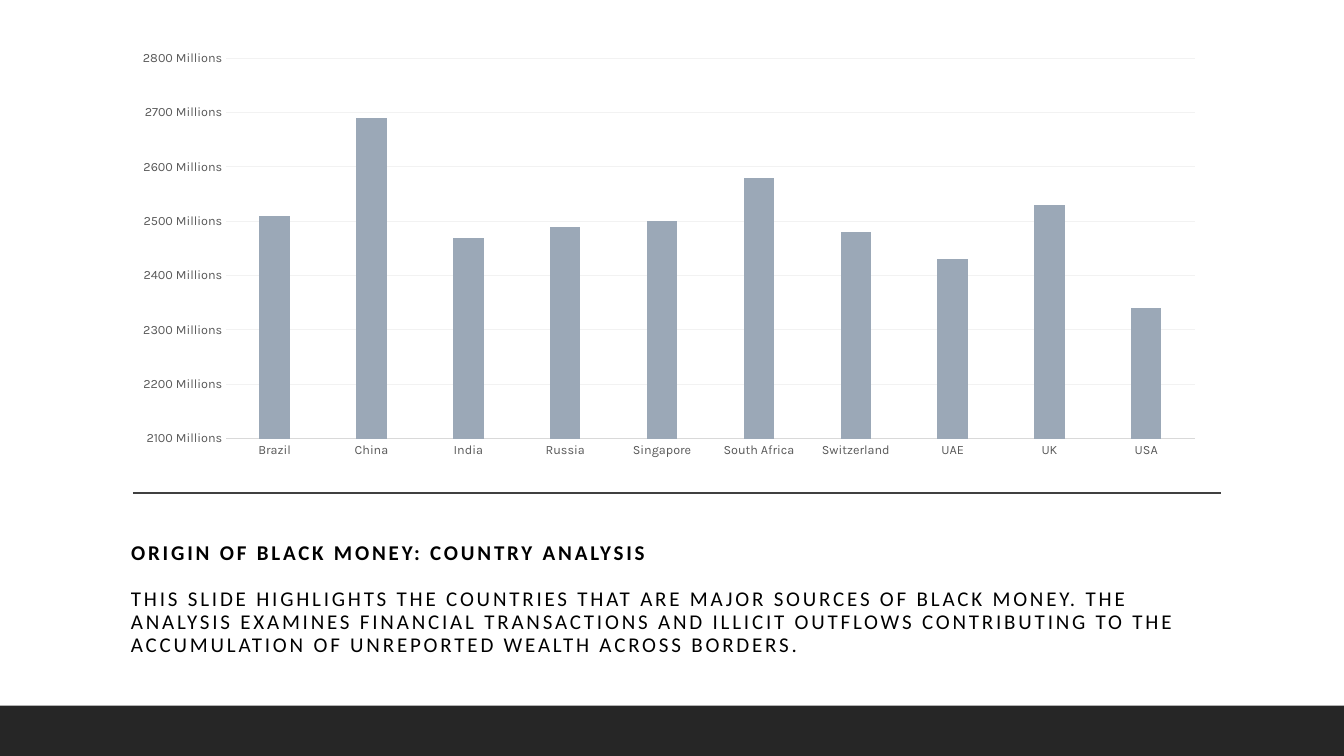
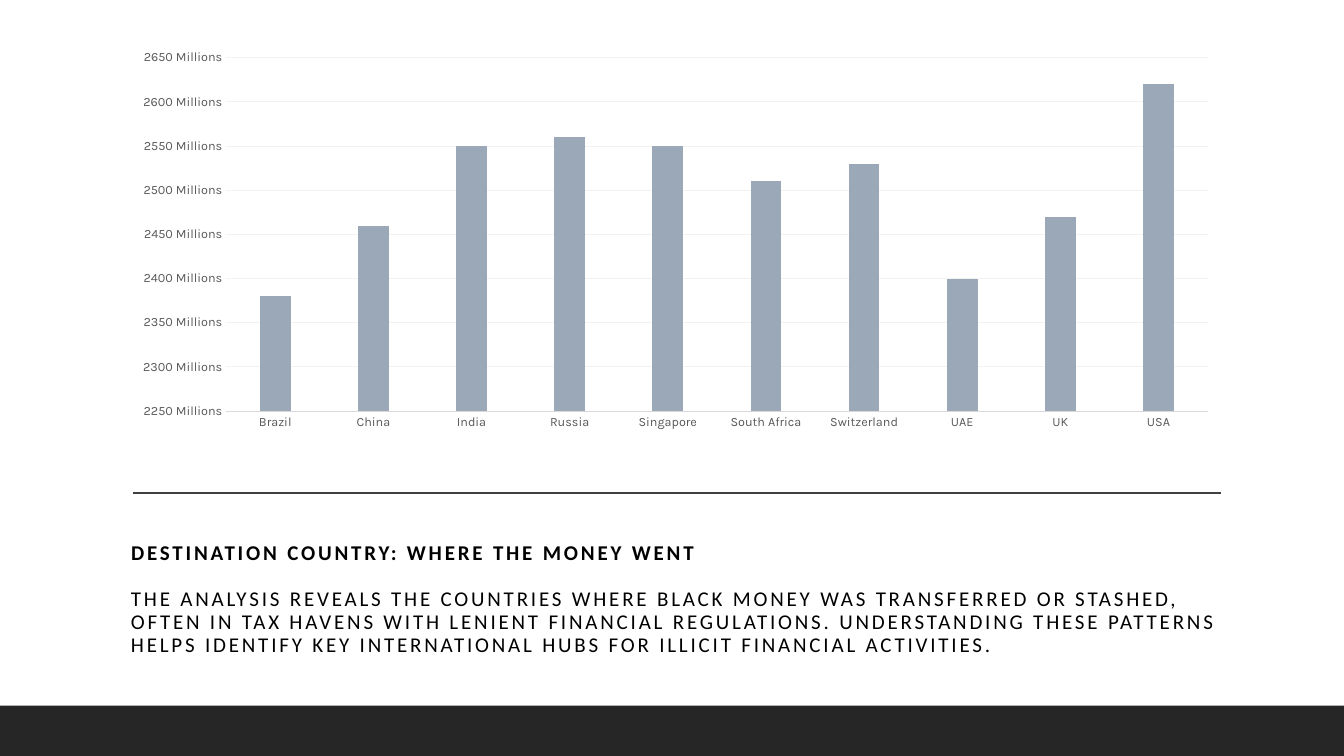
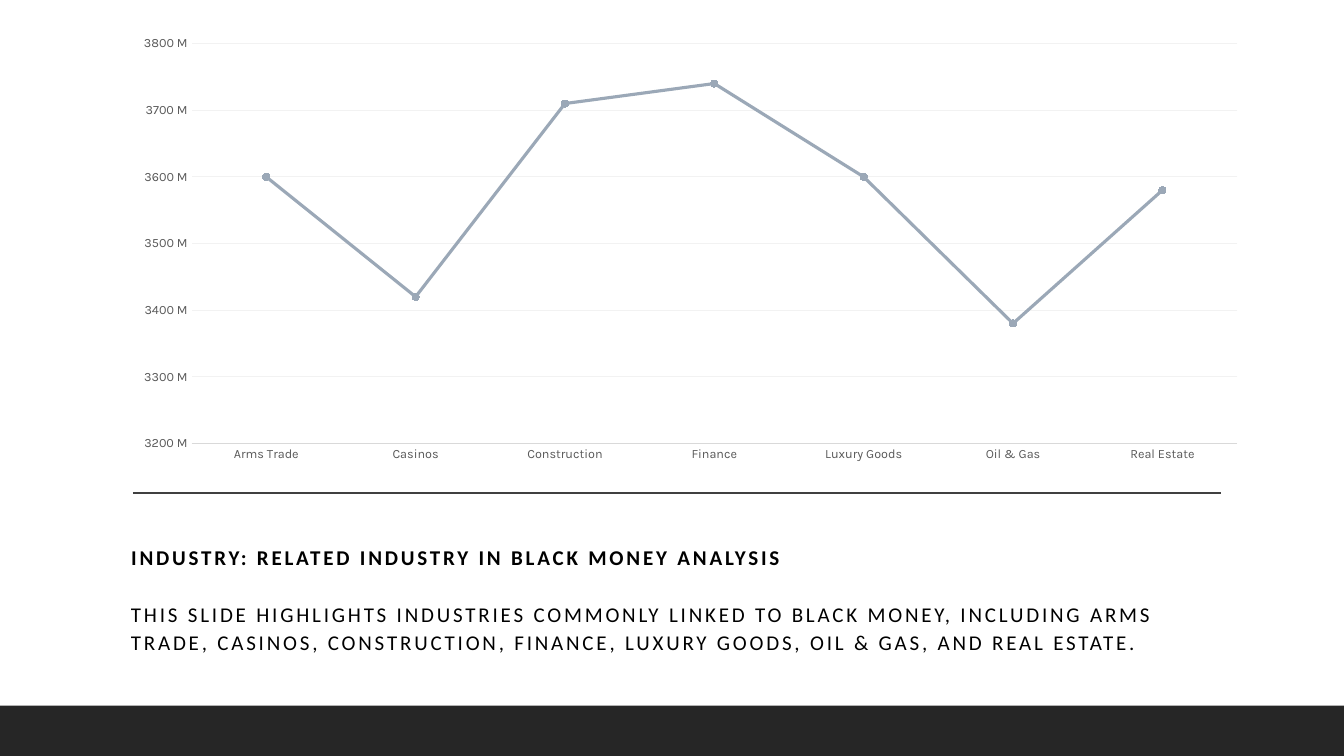
"""Three slides on black money: a chart above a rule, a heading and a short text."""
from lxml import etree
from pptx import Presentation
from pptx import util as u
from pptx.chart.data import CategoryChartData
from pptx.dml.color import RGBColor
from pptx.enum import chart as ch, shapes, text
from pptx.oxml.ns import qn

WIDTH, HEIGHT = 33.87, 19.05
LEFT, TEXT_TOP, TEXT_WIDTH = 3.05, 13.54, 27.94
BAND_TOP, RULE_Y, RULE_ENDS = 17.78, 12.42, (3.35, 30.78)
LINE_HEIGHT = 0.65
TEXT_FONT, CHART_FONT = "Calibri", "Karla"
BAND, RULE, INK, LABEL = "262626", "404040", "000000", "595959"
AXIS, GRID, SERIES = "D9D9D9", "F2F2F2", "9BA8B7"
COLUMN, LINE = ch.XL_CHART_TYPE.COLUMN_CLUSTERED, ch.XL_CHART_TYPE.LINE_MARKERS
MILLION = 1_000_000

COUNTRIES = ["Brazil", "China", "India", "Russia", "Singapore", "South Africa",
             "Switzerland", "UAE", "UK", "USA"]
INDUSTRIES = ["Arms Trade", "Casinos", "Construction", "Finance", "Luxury Goods",
              "Oil & Gas", "Real Estate"]

SLIDES = [
    dict(heading="ORIGIN OF BLACK MONEY: COUNTRY ANALYSIS",
         body="THIS SLIDE HIGHLIGHTS THE COUNTRIES THAT ARE MAJOR SOURCES OF BLACK MONEY. "
              "THE ANALYSIS EXAMINES FINANCIAL TRANSACTIONS AND ILLICIT OUTFLOWS CONTRIBUTING "
              "TO THE ACCUMULATION OF UNREPORTED WEALTH ACROSS BORDERS.",
         spacing=0.9, kind=COLUMN, box=(LEFT, 1.07, 27.61, 10.67),
         unit="Millions", scale=(2100, 2800, 100), cats=COUNTRIES,
         millions=[2510, 2690, 2470, 2490, 2500, 2580, 2480, 2430, 2530, 2340]),
    dict(heading="DESTINATION COUNTRY: WHERE THE MONEY WENT",
         body="THE ANALYSIS REVEALS THE COUNTRIES WHERE BLACK MONEY WAS TRANSFERRED OR STASHED, "
              "OFTEN IN TAX HAVENS WITH LENIENT FINANCIAL REGULATIONS. UNDERSTANDING THESE "
              "PATTERNS HELPS IDENTIFY KEY INTERNATIONAL HUBS FOR ILLICIT FINANCIAL ACTIVITIES.",
         spacing=0.9, kind=COLUMN, box=(LEFT, 1.07, 27.94, 9.96),
         unit="Millions", scale=(2250, 2650, 50), cats=COUNTRIES,
         millions=[2380, 2460, 2550, 2560, 2550, 2510, 2530, 2400, 2470, 2620]),
    dict(heading="INDUSTRY: RELATED INDUSTRY IN BLACK MONEY ANALYSIS",
         body="THIS SLIDE HIGHLIGHTS INDUSTRIES COMMONLY LINKED TO BLACK MONEY, INCLUDING ARMS "
              "TRADE, CASINOS, CONSTRUCTION, FINANCE, LUXURY GOODS, OIL & GAS, AND REAL ESTATE.",
         spacing=1.1, kind=LINE, box=(LEFT, 0.69, 28.7, 11.18),
         unit="M", scale=(3200, 3800, 100), cats=INDUSTRIES,
         millions=[3600, 3420, 3710, 3740, 3600, 3380, 3580]),
]


def rgb(value):
    return RGBColor.from_string(value)


def cm(*values):
    return [u.Cm(v) for v in values]


def set_fill(fill, color):
    fill.solid()
    fill.fore_color.rgb = rgb(color)


def set_line(line, color, width):
    line.color.rgb = rgb(color)
    line.width = u.Pt(width)


def set_font(font, name, size, color, bold=False):
    font.name, font.size, font.bold = name, u.Pt(size), bold
    font.color.rgb = rgb(color)


def add_frame(s):
    band = s.shapes.add_shape(shapes.MSO_SHAPE.RECTANGLE,
                              *cm(0, BAND_TOP, WIDTH, HEIGHT - BAND_TOP))
    band.shadow.inherit = False
    set_fill(band.fill, BAND)
    band.line.fill.background()
    start, end = RULE_ENDS
    rule = s.shapes.add_connector(shapes.MSO_CONNECTOR.STRAIGHT,
                                  *cm(start, RULE_Y, end, RULE_Y))
    set_line(rule.line, RULE, 1)
    etree.SubElement(rule._element.spPr, qn("a:effectLst"))


def write(sp, words, top, height, spacing, bold=False):
    sp.left, sp.top, sp.width, sp.height = cm(LEFT, top, TEXT_WIDTH, height)
    tf = sp.text_frame
    tf.text = words
    tf.word_wrap = True
    tf.auto_size = text.MSO_AUTO_SIZE.NONE
    tf.vertical_anchor = text.MSO_ANCHOR.TOP
    p = tf.paragraphs[0]
    p.alignment = text.PP_ALIGN.LEFT
    p.line_spacing = spacing
    p.space_before = u.Pt(0)
    set_font(p.font, TEXT_FONT, 15, INK, bold)
    p.runs[0]._r.get_or_add_rPr().set("spc", "200")


def add_chart(s, kind, box, unit, scale, cats, millions):
    data = CategoryChartData(number_format=f'0,,\\ "{unit}"')
    data.categories = cats
    data.add_series("Series 1", [v * MILLION for v in millions])
    chart = s.shapes.add_chart(kind, *cm(*box), data).chart
    chart.has_title = chart.has_legend = False
    set_font(chart.font, CHART_FONT, 10, INK)
    cat, val = chart.category_axis, chart.value_axis
    for axis in (cat, val):
        axis.major_tick_mark = axis.minor_tick_mark = ch.XL_TICK_MARK.NONE
        set_font(axis.tick_labels.font, CHART_FONT, 9, LABEL)
    set_line(cat.format.line, AXIS, 0.75)
    val.format.line.fill.background()
    set_line(val.major_gridlines.format.line, GRID, 0.75)
    val.minimum_scale, val.maximum_scale, val.major_unit = (v * MILLION for v in scale)
    plot = chart.plots[0]
    plot.vary_by_categories = False
    series = plot.series[0]
    if kind == COLUMN:
        plot.gap_width, plot.overlap = 219, -27
        set_fill(series.format.fill, SERIES)
    else:
        series.smooth = False
        set_line(series.format.line, SERIES, 2.25)
        marker = series.marker
        marker.style, marker.size = ch.XL_MARKER_STYLE.CIRCLE, 5
        set_fill(marker.format.fill, SERIES)
        set_line(marker.format.line, SERIES, 0.75)


def build_slide(prs, heading, body, spacing, **chart):
    s = prs.slides.add_slide(prs.slide_layouts[5])
    add_frame(s)
    gap = 2 * LINE_HEIGHT * spacing
    write(s.shapes.title, heading, TEXT_TOP, gap, spacing, bold=True)
    body_box = s.shapes.add_textbox(*cm(0, 0, 1, 1))
    write(body_box, body, TEXT_TOP + gap, 2.2, spacing)
    add_chart(s, **chart)


def main():
    prs = Presentation()
    prs.slide_width, prs.slide_height = cm(WIDTH, HEIGHT)
    for content in SLIDES:
        build_slide(prs, **content)
    prs.save("out.pptx")


if __name__ == "__main__":
    main()
